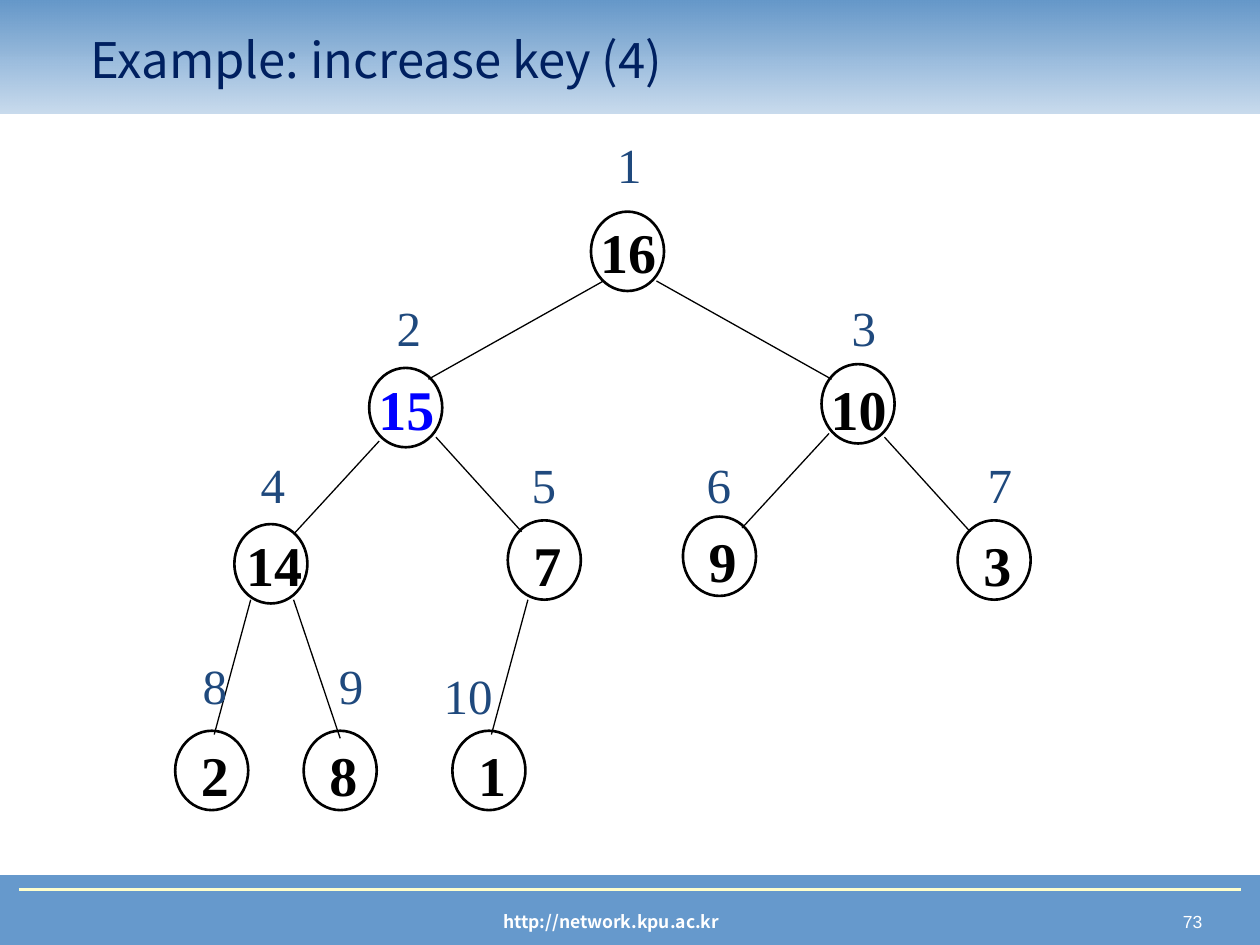
from lxml.etree import SubElement
from pptx import Presentation
from pptx.dml.color import RGBColor
from pptx.enum.shapes import MSO_CONNECTOR, MSO_SHAPE
from pptx.enum.text import MSO_ANCHOR, PP_ALIGN
from pptx.oxml.ns import qn
from pptx.util import Inches, Pt

WIDTH, HEIGHT = 10, 7.5
TITLE = "Example: increase key (4)"
FOOTER, PAGE = "http://network.kpu.ac.kr", "73"
SANS, SERIF = "Noto Sans CJK KR", "Times New Roman"
BLUE, BLACK, WHITE = "6699CC", "000000", "FFFFFF"
CHANGED_KEY, INDEX = "0000FF", "1F497D"

NODE_W, NODE_H = 0.58, 0.63
KEY_W, KEY_H = 0.79, 0.64
LABEL_H = 0.57
LABEL_TOPS = [1.02, 2.31, 3.56, 5.15]  # one per tree level

# Heap order: key, circle (left, top), key drop, label left
HEAP = [
    ("16", (4.69, 1.68), 0, 4.8),
    ("15", (2.93, 2.92), 0, 3.05),
    ("10", (6.52, 2.89), 0.03, 6.66),
    ("14", (1.86, 4.16), 0, 1.97),
    ("7", (4.03, 4.13), 0.03, 4.12),
    ("9", (5.42, 4.1), 0.03, 5.51),
    ("3", (7.6, 4.13), 0.03, 7.74),
    ("2", (1.39, 5.8), 0.03, 1.51),
    ("8", (2.41, 5.8), 0.03, 2.59),
    ("1", (3.59, 5.8), 0.03, 3.42),
]
# Parent end and child end of each branch
BRANCHES = [
    ((4.79, 2.23), (3.4, 3.01)), ((5.21, 2.23), (6.6, 3.01)),
    ((3.01, 3.5), (2.33, 4.24)), ((3.46, 3.47), (4.14, 4.22)),
    ((6.58, 3.44), (5.89, 4.19)), ((7.02, 3.47), (7.7, 4.22)),
    ((1.99, 4.76), (1.7, 5.83)), ((2.33, 4.76), (2.7, 5.86)),
    ((4.19, 4.76), (3.9, 5.83)),
]


def rgb(color):
    return RGBColor.from_string(color)


def style(paragraph, size, font, color, bold=False, align=PP_ALIGN.CENTER):
    paragraph.alignment = align
    for run in paragraph.runs:
        run.font.size, run.font.name, run.font.bold = Pt(size), font, bold
        run.font.color.rgb = rgb(color)


def add_text(shapes, text, box, *look, wrap=True, **options):
    frame = shapes.add_textbox(*map(Inches, box)).text_frame
    frame.word_wrap = wrap
    frame.text = text
    style(frame.paragraphs[0], *look, **options)


def add_line(shapes, start, end, color, width):
    line = shapes.add_connector(MSO_CONNECTOR.STRAIGHT, *map(Inches, start + end))
    line.line.color.rgb = rgb(color)
    line.line.width = Pt(width)
    SubElement(line.element.spPr, qn("a:effectLst"))


def add_plain(shapes, kind, box):
    shape = shapes.add_shape(kind, *map(Inches, box))
    shape.shadow.inherit = False
    return shape


def add_frame(shapes):
    """Header band, footer band and the footer's content."""
    footer = add_plain(shapes, MSO_SHAPE.RECTANGLE, (0, 6.95, WIDTH, HEIGHT - 6.95))
    footer.fill.solid()
    footer.fill.fore_color.rgb = footer.line.color.rgb = rgb(BLUE)
    footer.line.width = Pt(0.75)
    add_text(shapes, PAGE, (7.42, 7.18, 2.22, 0.27), 10, "Arial", WHITE,
             align=PP_ALIGN.RIGHT)
    add_text(shapes, FOOTER, (2.27, 7.18, 5.16, 0.27), 10, SANS, WHITE, bold=True)
    add_line(shapes, (0.15, 7.06), (9.85, 7.06), "FFFFCC", 1.5)

    header = add_plain(shapes, MSO_SHAPE.RECTANGLE, (0, 0, WIDTH, 0.9))
    header.line.fill.background()
    header.fill.gradient()
    header.fill.gradient_angle = 90
    for stop, color in zip(header.fill.gradient_stops, (BLUE, "6497C9")):
        stop.color.rgb = rgb(color)
    pale = header.element.xpath(".//a:gs/a:srgbClr")[0]
    SubElement(pale, qn("a:alpha"), val="35000")


def add_title(shapes):
    title = shapes.title
    title.left, title.top, title.width, title.height = map(
        Inches, (0.62, 0.16, 8.44, 0.62))
    title.text_frame.text = TITLE
    title.text_frame.vertical_anchor = MSO_ANCHOR.MIDDLE
    style(title.text_frame.paragraphs[0], 28, SANS, "002060", align=PP_ALIGN.LEFT)
    title.element.getparent().append(title.element)  # in front of the header


def add_node(shapes, index, key, corner, key_drop, label_left):
    left, top = corner
    level = index.bit_length() - 1
    circle = add_plain(shapes, MSO_SHAPE.OVAL, (left, top, NODE_W, NODE_H))
    circle.fill.background()
    circle.line.color.rgb = rgb(BLACK)
    circle.line.width = Pt(1.5)

    key_left = left - (0.1 if level < 2 else 0.08)
    add_text(shapes, key, (key_left, top + key_drop, KEY_W, KEY_H), 32, SERIF,
             CHANGED_KEY if key == "15" else BLACK, bold=True)

    two_digits = index > 9
    label_top = LABEL_TOPS[level] + (0.08 if two_digits else 0)
    label_width = 0.59 if two_digits else 0.39
    add_text(shapes, str(index), (label_left, label_top, label_width, LABEL_H),
             28, SERIF, INDEX, wrap=False)


def main():
    deck = Presentation()
    deck.slide_width, deck.slide_height = Inches(WIDTH), Inches(HEIGHT)
    shapes = deck.slides.add_slide(deck.slide_layouts[5]).shapes
    add_frame(shapes)
    add_title(shapes)
    for parent_end, child_end in BRANCHES:
        add_line(shapes, parent_end, child_end, BLACK, 0.75)
    for index, node in enumerate(HEAP, 1):
        add_node(shapes, index, *node)
    deck.save("out.pptx")


if __name__ == "__main__":
    main()
